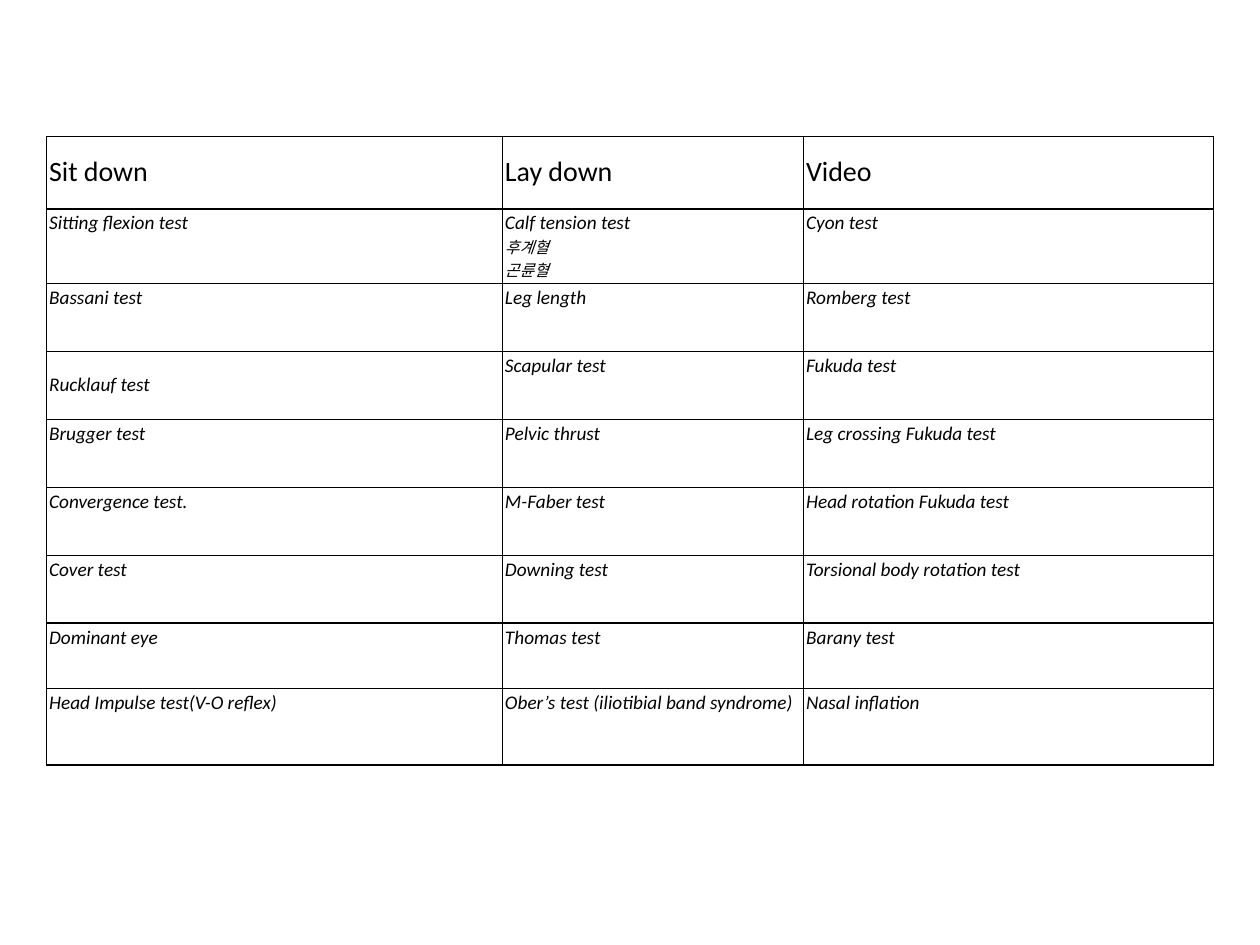
from lxml.etree import SubElement
from pptx import Presentation
from pptx.dml.color import RGBColor
from pptx.enum.text import MSO_ANCHOR
from pptx.oxml.ns import qn
from pptx.util import Cm, Pt

BLACK = RGBColor(0, 0, 0)
FONT = "Calibri"
THIN, THICK = Pt(0.5), Pt(1)

COLUMN_WIDTHS = [9.19, 6.07, 8.26]
ROW_HEIGHTS = [1.47, 1.49] + [1.37] * 5 + [1.31, 1.55]
# Grid lines are counted from the left and from the top
THICK_VERTICALS = {0, 2, 3}
THICK_HORIZONTALS = {1, 7, 9}

HEADINGS = ["Sit down", "Lay down", "Video"]
TESTS = [
    ["Sitting flexion test", "Calf tension test", "Cyon test"],
    ["Bassani test", "Leg length", "Romberg test"],
    ["Rucklauf test", "Scapular test", "Fukuda test"],
    ["Brugger test", "Pelvic thrust", "Leg crossing Fukuda test"],
    ["Convergence test.", "M-Faber test", "Head rotation Fukuda test"],
    ["Cover test", "Downing test", "Torsional body rotation test"],
    ["Dominant eye", "Thomas test", "Barany test"],
    ["Head Impulse test(V-O reflex)", "Ober’s test (iliotibial band syndrome)",
     "Nasal inflation"],
]
ACUPOINTS = ["후계혈", "곤륜혈"]


def add_text(paragraph, text, size=11, italic=True, color=BLACK):
    run = paragraph.add_run()
    run.text = text
    run.font.name = FONT
    run.font.size = Pt(size)
    run.font.italic = italic
    run.font.color.rgb = color


def set_borders(cell, row, column):
    edges = [
        ("a:lnL", column in THICK_VERTICALS),
        ("a:lnR", column + 1 in THICK_VERTICALS),
        ("a:lnT", row in THICK_HORIZONTALS),
        ("a:lnB", row + 1 in THICK_HORIZONTALS),
    ]
    properties = cell._tc.get_or_add_tcPr()
    for position, (tag, is_thick) in enumerate(edges):
        border = SubElement(properties, qn(tag), w=str(THICK if is_thick else THIN))
        fill = SubElement(border, qn("a:solidFill"))
        SubElement(fill, qn("a:srgbClr"), val=str(BLACK))
        # Borders come before the fill
        properties.insert(position, border)


def format_cell(cell, row, column):
    cell.margin_left = cell.margin_right = Cm(0.05)
    cell.margin_top = cell.margin_bottom = Cm(0.05)
    cell.vertical_anchor = MSO_ANCHOR.TOP
    cell.fill.background()
    set_borders(cell, row, column)


def add_test_table(slide):
    frame = slide.shapes.add_table(
        len(ROW_HEIGHTS), len(COLUMN_WIDTHS), Cm(0.94), Cm(2.74),
        Cm(sum(COLUMN_WIDTHS)), Cm(sum(ROW_HEIGHTS)))
    table = frame.table
    table.first_row = table.horz_banding = False
    for column, width in zip(table.columns, COLUMN_WIDTHS):
        column.width = Cm(width)
    for row, height in zip(table.rows, ROW_HEIGHTS):
        row.height = Cm(height)

    for row, labels in enumerate([HEADINGS] + TESTS):
        for column, label in enumerate(labels):
            cell = table.cell(row, column)
            format_cell(cell, row, column)
            paragraph = cell.text_frame.paragraphs[0]
            if row == 0:
                cell.vertical_anchor = MSO_ANCHOR.MIDDLE
                add_text(paragraph, label, size=16, italic=False)
            else:
                add_text(paragraph, label)
    return table


def main():
    presentation = Presentation()
    presentation.slide_width, presentation.slide_height = Cm(25.4), Cm(19.05)
    slide = presentation.slides.add_slide(presentation.slide_layouts[6])

    # Table of tests by position
    table = add_test_table(slide)

    # Acupoints under the calf tension test
    calf_paragraph = table.cell(1, 1).text_frame.paragraphs[0]
    for acupoint in ACUPOINTS:
        calf_paragraph.add_line_break()
        add_text(calf_paragraph, acupoint, size=9)

    # The Rucklauf test sits in the middle of its row
    table.cell(3, 0).vertical_anchor = MSO_ANCHOR.MIDDLE

    presentation.save("out.pptx")


if __name__ == "__main__":
    main()
